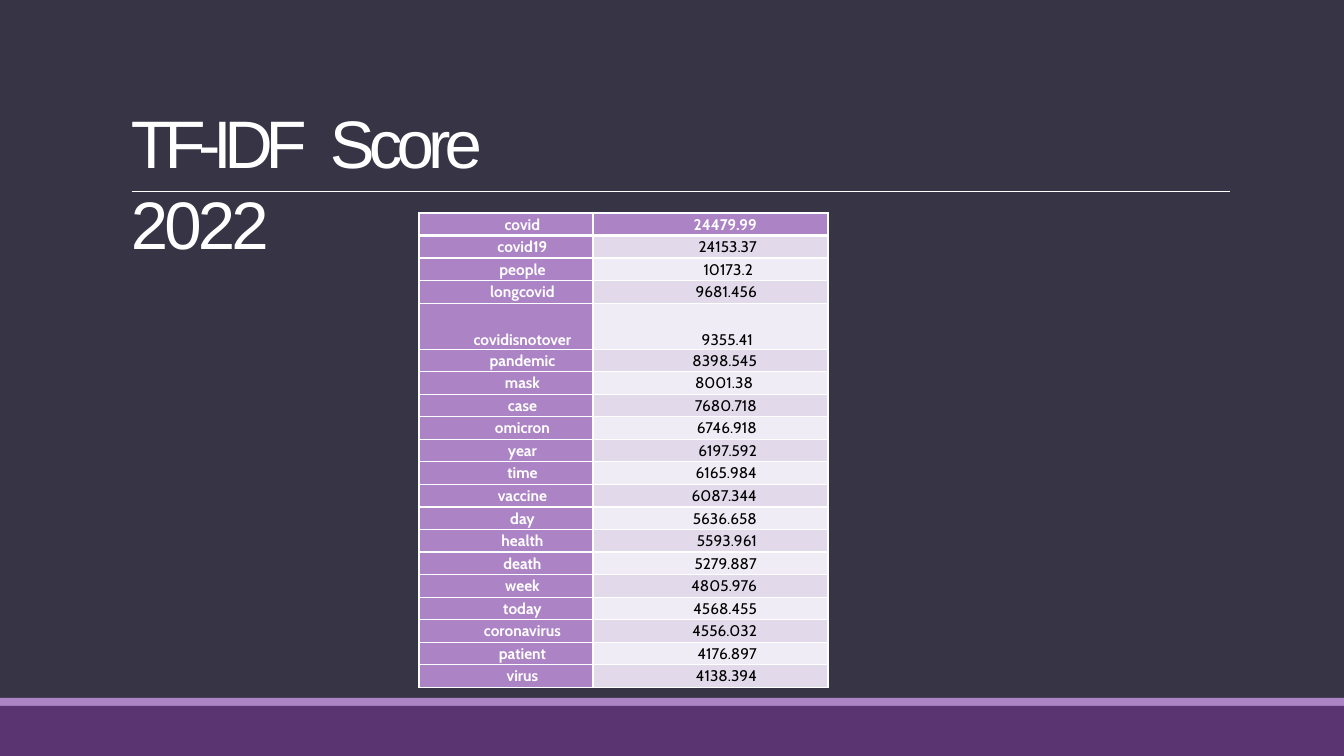
from dataclasses import dataclass

from lxml.etree import SubElement
from pptx import Presentation
from pptx.dml.color import RGBColor
from pptx.enum.shapes import MSO_CONNECTOR, MSO_SHAPE
from pptx.enum.text import MSO_ANCHOR, MSO_AUTO_SIZE, PP_ALIGN
from pptx.oxml.ns import qn
from pptx.util import Emu, Pt

SLIDE_W, SLIDE_H = 1344, 756


def px(length):
    return Emu(round(length * 914400 / 100.8))


@dataclass(frozen=True)
class Theme:
    backdrop: str = "373545"
    accent: str = "AC84C5"
    footer: str = "5A3470"
    light: str = "FFFFFF"
    dark: str = "000000"
    stripes: tuple = ("F0ECF5", "E2D9EA")
    title_font: str = "Arial"
    table_font: str = "Cabin"
    title_size: int = 48
    table_size: int = 11


THEME = Theme()

SCORES = [
    ("covid", "24479.99"), ("covid19", "24153.37"), ("people", "10173.2"),
    ("longcovid", "9681.456"), ("covidisnotover", "9355.41"),
    ("pandemic", "8398.545"), ("mask", "8001.38"), ("case", "7680.718"),
    ("omicron", "6746.918"), ("year", "6197.592"), ("time", "6165.984"),
    ("vaccine", "6087.344"), ("day", "5636.658"), ("health", "5593.961"),
    ("death", "5279.887"), ("week", "4805.976"), ("today", "4568.455"),
    ("coronavirus", "4556.032"), ("patient", "4176.897"), ("virus", "4138.394"),
]
TALL_TERM = "covidisnotover"
INSET_SCORES = {"10173.2", "9355.41", "8001.38"}


def apply_format(target, values):
    for name, value in values.items():
        setattr(target, name, value)


def style_font(font, color, **values):
    apply_format(font, values)
    font.color.rgb = RGBColor.from_string(color)


def add_backdrop(slide, left, top, width, height):
    # Dark field, thin accent strip and footer, stacked
    strip_h, footer_h = 8, 50
    bands = [
        (THEME.backdrop, height - strip_h - footer_h),
        (THEME.accent, strip_h),
        (THEME.footer, footer_h),
    ]
    for color, band_h in bands:
        band = slide.shapes.add_shape(
            MSO_SHAPE.RECTANGLE, px(left), px(top), px(width), px(band_h))
        band.shadow.inherit = False
        band.fill.solid()
        band.fill.fore_color.rgb = RGBColor.from_string(color)
        band.line.fill.background()
        top += band_h


def add_rule(slide, left, top, width):
    # Thin line under the first line of the title
    rule = slide.shapes.add_connector(
        MSO_CONNECTOR.STRAIGHT, px(left), px(top), px(left + width), px(top))
    rule.line.width = Pt(0.5)
    rule.line.color.rgb = RGBColor.from_string(THEME.light)
    SubElement(rule._element.spPr, qn("a:effectLst"))


def add_title(slide, left, top, width, height):
    title = slide.shapes.title
    slide.shapes._spTree.append(title._element)  # in front of the backdrop
    apply_format(title, dict(left=px(left), top=px(top),
                             width=px(width), height=px(height)))
    frame = title.text_frame
    apply_format(frame, dict(
        margin_left=0, margin_right=0, margin_top=px(1), margin_bottom=0,
        word_wrap=True, auto_size=MSO_AUTO_SIZE.NONE,
        vertical_anchor=MSO_ANCHOR.TOP))
    heading = frame.paragraphs[0]
    apply_format(heading, dict(alignment=PP_ALIGN.LEFT, line_spacing=Pt(58),
                               space_before=Pt(0)))
    tabs = SubElement(heading._p.get_or_add_pPr(), qn("a:tabLst"))
    SubElement(tabs, qn("a:tab"), pos=str(px(199)), algn="l")
    # Each part has its own letter spacing, in hundredths of a point
    for words, tracking in [("TF-IDF\t", -530), ("Score ", -420), ("2022", -280)]:
        part = heading.add_run()
        part.text = words
        style_font(part.font, THEME.light, name=THEME.title_font,
                   size=Pt(THEME.title_size), bold=False)
        part.font._element.set("spc", str(tracking))


def add_borders(cell, top_pt, bottom_pt):
    properties = cell._tc.get_or_add_tcPr()
    for side, points in dict(L=1, R=1, T=top_pt, B=bottom_pt).items():
        edge = SubElement(properties, qn(f"a:ln{side}"), w=str(Pt(points)))
        paint = SubElement(edge, qn("a:solidFill"))
        SubElement(paint, qn("a:srgbClr"), val=THEME.light)


def fill_cell(cell, text, fill, color, bold, alignment, margins):
    cell.fill.solid()
    cell.fill.fore_color.rgb = RGBColor.from_string(fill)
    apply_format(cell, dict(margins, margin_bottom=0,
                            vertical_anchor=MSO_ANCHOR.TOP))
    entry = cell.text_frame.paragraphs[0]
    apply_format(entry, dict(alignment=alignment, line_spacing=Pt(12.8)))
    run = entry.add_run()
    run.text = text
    style_font(run.font, color, name=THEME.table_font,
               size=Pt(THEME.table_size), bold=bold)


def add_score_table(slide, left, top, width, height):
    term_w, tall_h = 174, 46
    row_h = (height - tall_h) / (len(SCORES) - 1)
    table = slide.shapes.add_table(
        len(SCORES), 2, px(left), px(top), px(width), px(height)).table
    apply_format(table, dict(first_row=False, horz_banding=False))
    table.columns[0].width = px(term_w)
    table.columns[1].width = px(width - term_w)

    for index, (term, score) in enumerate(SCORES):
        is_header, is_tall = index == 0, term == TALL_TERM
        table.rows[index].height = px(tall_h if is_tall else row_h)
        term_cell, score_cell = table.cell(index, 0), table.cell(index, 1)
        for cell in (term_cell, score_cell):
            add_borders(cell, 3 if index == 1 else 1, 3 if is_header else 1)
        margin_top = px(28 if is_tall else 3)
        fill_cell(term_cell, term, THEME.accent, THEME.light, True,
                  PP_ALIGN.CENTER,
                  dict(margin_left=px(33), margin_right=0, margin_top=margin_top))
        fill_cell(score_cell, score,
                  THEME.accent if is_header else THEME.stripes[index % 2],
                  THEME.light if is_header else THEME.dark, is_header,
                  PP_ALIGN.RIGHT,
                  dict(margin_left=0, margin_top=margin_top,
                       margin_right=px(75 if score in INSET_SCORES else 71)))


def build_score_slide(deck):
    slide = deck.slides.add_slide(deck.slide_layouts[5])  # title only
    add_backdrop(slide, 0, 0, SLIDE_W, SLIDE_H)
    add_rule(slide, 132, 191, 1098)
    add_title(slide, 131, 100, 480, 84)
    add_score_table(slide, 419, 213, 409, 475)


def main():
    deck = Presentation()
    apply_format(deck, dict(slide_width=px(SLIDE_W), slide_height=px(SLIDE_H)))
    build_score_slide(deck)
    deck.save("out.pptx")


if __name__ == "__main__":
    main()
